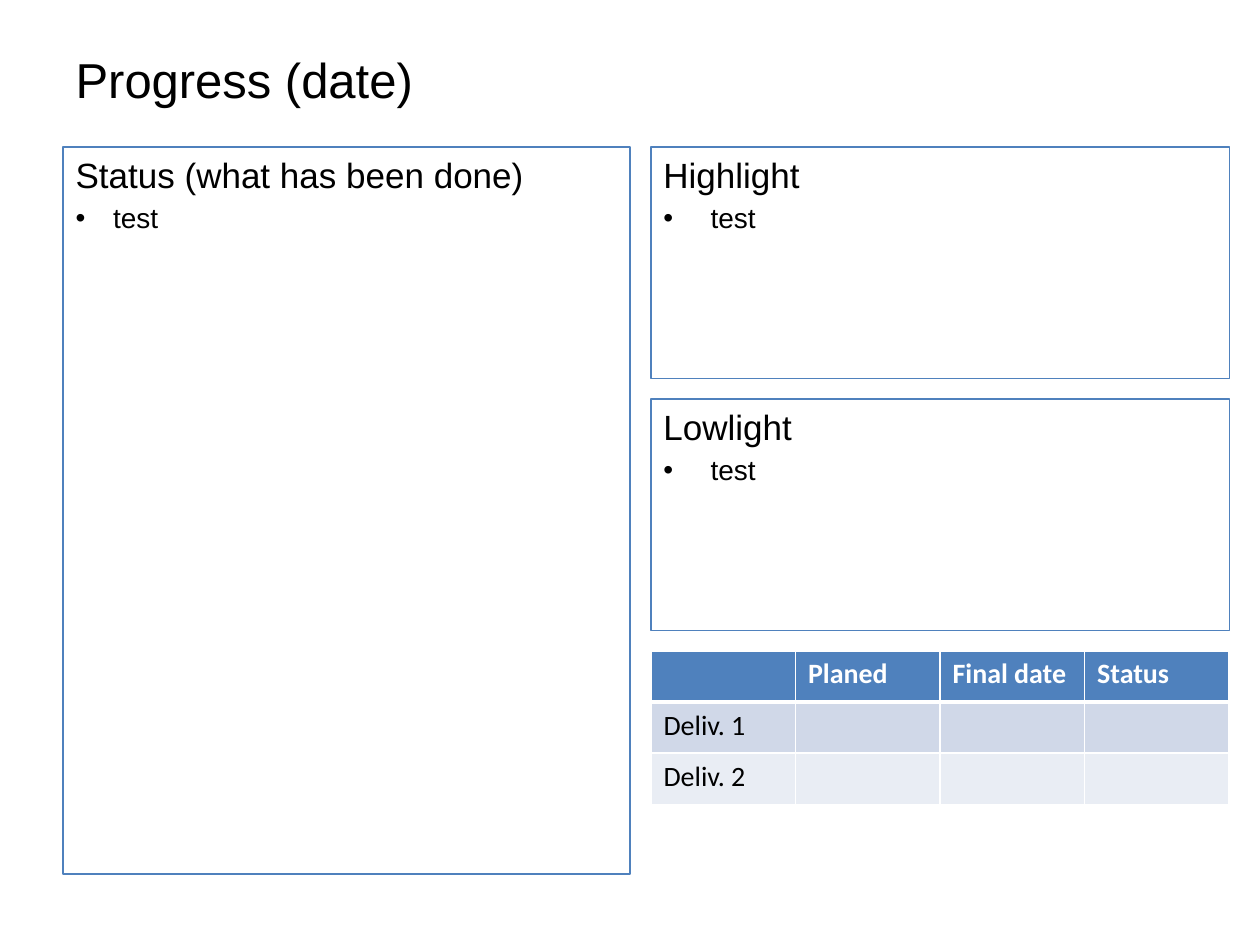
import pptx
import pptx.dml.color
import pptx.enum.shapes
import pptx.enum.text
import pptx.oxml.ns
import pptx.util
from dataclasses import dataclass
from lxml import etree

Pt = pptx.util.Pt
RGB = pptx.dml.color.RGBColor.from_string
qn = pptx.oxml.ns.qn


@dataclass(frozen=True)
class Theme:
    """Colours, fonts and type sizes of the slide."""
    text: str = "000000"
    accent: str = "4F81BD"
    white: str = "FFFFFF"
    bands: tuple = ("D0D8E8", "E9EDF4")
    text_font: str = "Arial"
    table_font: str = "Calibri"
    title_size: int = 28
    heading_size: int = 20
    item_size: int = 16


THEME = Theme()


def apply_format(target, values):
    """Set each attribute of the target from a dict of format values."""
    for name, value in values.items():
        setattr(target, name, value)


def place(shape, box):
    """Move a shape to a (left, top, width, height) box in points."""
    apply_format(shape, dict(zip(("left", "top", "width", "height"), map(Pt, box))))


def write(paragraph, text, size, font=THEME.text_font, color=THEME.text, bold=False):
    """Write one formatted, left-aligned run."""
    paragraph.alignment = pptx.enum.text.PP_ALIGN.LEFT
    run = paragraph.add_run()
    run.text = text
    apply_format(run.font, {"name": font, "size": Pt(size), "bold": bold})
    run.font.color.rgb = RGB(color)


def set_bullet(paragraph, indent=0):
    """Give the paragraph a hanging bullet, or none when indent is 0."""
    properties = paragraph._p.get_or_add_pPr()
    properties.set("marL", str(Pt(indent)))
    properties.set("indent", str(-Pt(indent)))
    if indent:
        etree.SubElement(properties, qn("a:buFont")).set("typeface", THEME.text_font)
        etree.SubElement(properties, qn("a:buChar")).set("char", "•")
    else:
        etree.SubElement(properties, qn("a:buNone"))


def fill_title(shape, box, text):
    """Place the slide title."""
    place(shape, box)
    apply_format(shape.text_frame, {
        "vertical_anchor": pptx.enum.text.MSO_ANCHOR.MIDDLE,
        "auto_size": pptx.enum.text.MSO_AUTO_SIZE.NONE})
    write(shape.text_frame.paragraphs[0], text, THEME.title_size)


def fill_panel(shape, box, heading, items, indent):
    """Make the shape an outlined panel with a heading and bulleted items."""
    place(shape, box)
    shape.fill.background()
    shape.line.color.rgb = RGB(THEME.accent)
    shape.line.width = Pt(0.75)
    frame = shape.text_frame
    apply_format(frame, {
        "word_wrap": True,
        "vertical_anchor": pptx.enum.text.MSO_ANCHOR.TOP,
        "auto_size": pptx.enum.text.MSO_AUTO_SIZE.NONE})
    lines = [(heading, THEME.heading_size, 0)]
    lines += [(item, THEME.item_size, indent) for item in items]
    for index, (text, size, hanging) in enumerate(lines):
        paragraph = frame.add_paragraph() if index else frame.paragraphs[0]
        paragraph.space_before = Pt(0.2 * size)
        set_bullet(paragraph, hanging)
        write(paragraph, text, size)


def add_panel(slide, box, heading, items, indent):
    """Add a rectangle and fill it as a panel."""
    shape = slide.shapes.add_shape(pptx.enum.shapes.MSO_SHAPE.RECTANGLE, *map(Pt, box))
    shape.shadow.inherit = False
    fill_panel(shape, box, heading, items, indent)


def set_borders(cell, widths):
    """Draw white cell borders from a dict of side and width."""
    properties = cell._tc.get_or_add_tcPr()
    for side, width in widths.items():
        line = etree.SubElement(properties, qn("a:ln" + side), w=str(Pt(width)))
        fill = etree.SubElement(line, qn("a:solidFill"))
        etree.SubElement(fill, qn("a:srgbClr"), val=THEME.white)


def add_deliverables(slide, box, rows):
    """Add the deliverables table with a header row and banded body rows."""
    table = slide.shapes.add_table(len(rows), len(rows[0]), *map(Pt, box)).table
    for row_index, texts in enumerate(rows):
        header = row_index == 0
        color = THEME.accent if header else THEME.bands[(row_index - 1) % 2]
        for column_index, text in enumerate(texts):
            cell = table.cell(row_index, column_index)
            set_borders(cell, {"L": 1, "R": 1, "T": 3 if row_index == 1 else 1,
                               "B": 3 if header else 1})
            cell.fill.solid()
            cell.fill.fore_color.rgb = RGB(color)
            if text:
                write(cell.text_frame.paragraphs[0], text, THEME.item_size,
                      THEME.table_font, THEME.white if header else THEME.text, header)


def build_progress_slide(presentation):
    """Lay out the title, the status column and the right-hand column."""
    slide = presentation.slides.add_slide(presentation.slide_layouts[1])
    left, top, gap = 36, 84, 11.5
    right, right_width, panel_height = 372, 330.5, 132.5
    step = panel_height + gap

    fill_title(slide.shapes.title, (left, 21.5, 648, 47.5), "Progress (date)")
    fill_panel(slide.placeholders[1], (left, top, 324, 415.5),
               "Status (what has been done)", ["test"], 21.5)
    for index, heading in enumerate(("Highlight", "Lowlight")):
        add_panel(slide, (right, top + index * step, right_width, panel_height),
                  heading, ["test"], 27)
    add_deliverables(slide, (right, top + 2 * step, right_width, 87.6), [
        ("", "Planed", "Final date", "Status"),
        ("Deliv. 1", "", "", ""),
        ("Deliv. 2", "", "", "")])


presentation = pptx.Presentation()
apply_format(presentation, {"slide_width": Pt(720), "slide_height": Pt(540)})
build_progress_slide(presentation)
presentation.save("out.pptx")
